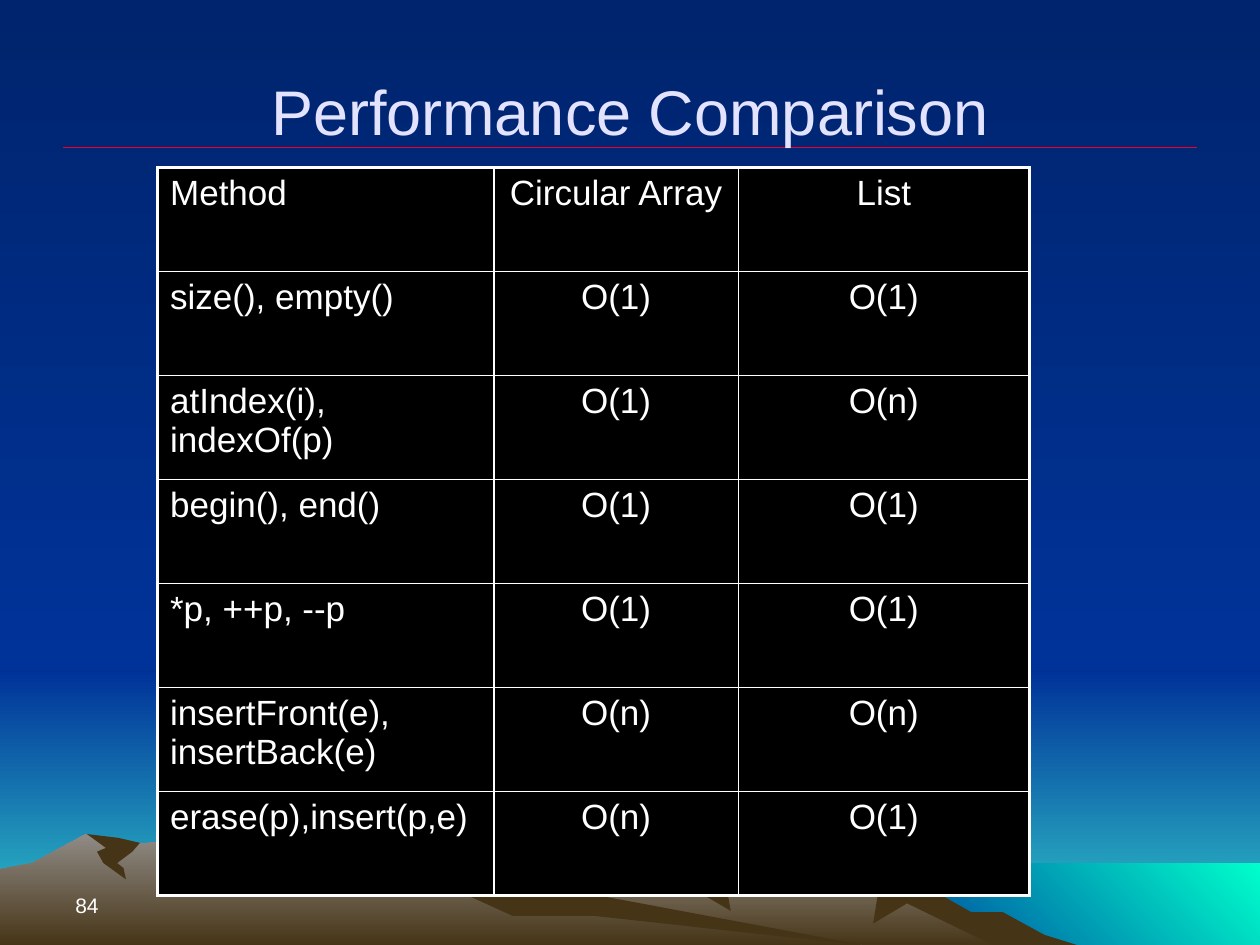
import pptx
import pptx.util
import pptx.dml.color
import pptx.enum.shapes
import pptx.enum.text
import pptx.oxml
import pptx.oxml.ns

Inches = pptx.util.Inches
Pt = pptx.util.Pt
ALIGN = pptx.enum.text.PP_ALIGN
ANCHOR = pptx.enum.text.MSO_ANCHOR
BOX = pptx.enum.shapes.MSO_SHAPE.RECTANGLE
LINE = pptx.enum.shapes.MSO_CONNECTOR.STRAIGHT
SPACE = pptx.oxml.ns.nsdecls("a")

NIGHT, BLUE, TEAL, MINT = "00246D", "003399", "33CCCC", "00FFCC"
BROWN, WHITE = "463416", "FFFFFF"


def hue(code):
    return pptx.dml.color.RGBColor.from_string(code)


def paint(fill, first, last=None, angle=270):
    """Fill with one colour, or blend from first to last."""
    if last is None:
        fill.solid()
        fill.fore_color.rgb = hue(first)
        return
    fill.gradient()
    fill.gradient_angle = angle
    for stop, code in zip(fill.gradient_stops, (first, last)):
        stop.color.rgb = hue(code)


deck = pptx.Presentation()
deck.slide_width, deck.slide_height = Inches(10), Inches(7.5)
slide = deck.slides.add_slide(deck.slide_layouts[6])
shapes = slide.shapes
paint(slide.background.fill, NIGHT, BLUE)

# Sky and sea: left, top, width, height, then the blend
for left, top, width, height, *blend in [
    (0, 5.33, 10, 2.17, BLUE, TEAL),
    (0, 0, 10, 5.33, NIGHT, BLUE),
    (6.83, 6.85, 3.17, 0.67, BLUE, MINT, 45),
]:
    band = shapes.add_shape(BOX, Inches(left), Inches(top), Inches(width), Inches(height))
    band.shadow.inherit = False
    band.line.fill.background()
    paint(band.fill, *blend)

# Hills and their shaded sides, in hundredths of an inch
hills = [
    (("A5A29F", BROWN), [
        (258, 751), (327, 709), (471, 658), (685, 660), (723, 698),
        (764, 723), (802, 740), (821, 751)]),
    ((BROWN,), [
        (685, 660), (707, 671), (734, 703), (771, 724), (796, 724), (829, 742),
        (858, 751), (792, 752), (720, 717), (693, 733), (698, 702)]),
    ((BROWN,), [(529, 676), (536, 697), (580, 723), (576, 700), (592, 689)]),
    (("938F8B", BROWN), [
        (0, 690), (26, 685), (68, 662), (94, 671), (143, 667), (202, 658),
        (279, 681), (354, 665), (432, 712), (690, 751), (0, 751)]),
    ((BROWN,), [
        (354, 665), (337, 687), (374, 712), (407, 727), (472, 727), (690, 751),
        (455, 707)]),
    ((BROWN,), [
        (69, 662), (94, 665), (111, 669), (105, 676), (93, 685), (98, 689),
        (100, 698), (82, 685), (77, 676), (84, 673)]),
]
for blend, points in hills:
    pen = shapes.build_freeform(*points[0], scale=Inches(0.01))
    pen.add_line_segments(points[1:], close=True)
    hill = pen.convert_to_shape()
    hill.shadow.inherit = False
    hill.line.fill.background()
    paint(hill.fill, *blend)

# Red rule under the title
rule = shapes.add_connector(LINE, Inches(0.5), Inches(1.17), Inches(9.5), Inches(1.17))
rule.line.color.rgb = hue("EF0129")
rule.line.width = Pt(0.75)
rule._element.spPr.append(pptx.oxml.parse_xml(f"<a:effectLst {SPACE}/>"))

# Page number and title
for text, left, top, width, height, size, code, align, anchor in [
    ("84", 0.5, 6.83, 2.33, 0.5, 12, WHITE, ALIGN.LEFT, ANCHOR.BOTTOM),
    ("Performance Comparison", 0.5, 0.25, 9, 1.25, 36, "E3E3FF", ALIGN.CENTER, ANCHOR.MIDDLE),
]:
    label = shapes.add_textbox(Inches(left), Inches(top), Inches(width), Inches(height))
    frame = label.text_frame
    frame.word_wrap = True
    frame.vertical_anchor = anchor
    frame.text = text
    frame.paragraphs[0].alignment = align
    font = frame.paragraphs[0].runs[0].font
    font.name, font.size, font.color.rgb = "Arial", Pt(size), hue(code)

# Table of costs
rows = [
    ("Method", "Circular Array", "List"),
    ("size(), empty()", "O(1)", "O(1)"),
    ("atIndex(i), indexOf(p)", "O(1)", "O(n)"),
    ("begin(), end()", "O(1)", "O(1)"),
    ("*p, ++p, --p", "O(1)", "O(1)"),
    ("insertFront(e), insertBack(e)", "O(n)", "O(n)"),
    ("erase(p),insert(p,e)", "O(n)", "O(1)"),
]
widths = [2.67, 1.94, 2.31]
table = shapes.add_table(len(rows), len(widths), Inches(1.25), Inches(1.33),
                         Inches(sum(widths)), Inches(5.78)).table
table.first_row = table.horz_banding = False
for column, width in zip(table.columns, widths):
    column.width = Inches(width)

for r, row in enumerate(rows):
    for c, text in enumerate(row):
        cell = table.cell(r, c)
        paint(cell.fill, "000000")
        cell.text_frame.text = text
        line = cell.text_frame.paragraphs[0]
        line.alignment = ALIGN.CENTER if c else ALIGN.LEFT
        font = line.runs[0].font
        font.name, font.size, font.color.rgb = "Arial", Pt(20), hue(WHITE)
        # Thick outer edges, thin inner ones
        edges = [("L", c == 0), ("R", c == len(widths) - 1),
                 ("T", r == 0), ("B", r == len(rows) - 1)]
        for spot, (side, outer) in enumerate(edges):
            edge = pptx.oxml.parse_xml(
                f'<a:ln{side} {SPACE} w="{int(Pt(2.25 if outer else 1))}"><a:solidFill>'
                f'<a:srgbClr val="{WHITE}"/></a:solidFill></a:ln{side}>')
            cell._tc.get_or_add_tcPr().insert(spot, edge)

deck.save("out.pptx")
